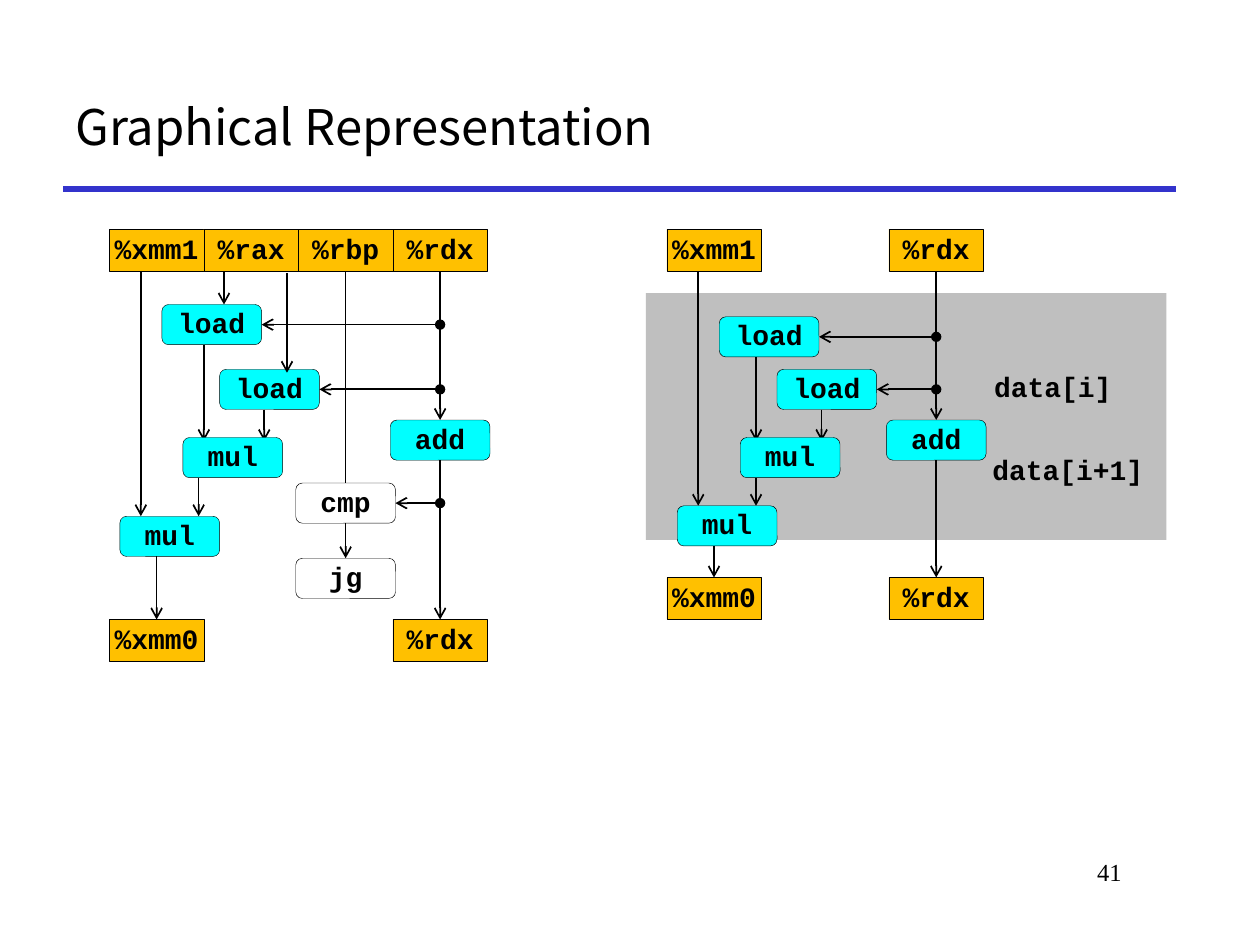
from lxml import etree
from pptx import Presentation
from pptx.dml.color import RGBColor
from pptx.enum.shapes import MSO_CONNECTOR, MSO_SHAPE
from pptx.enum.text import MSO_ANCHOR, PP_ALIGN
from pptx.oxml.ns import qn

from pptx.util import Pt

RECT, ROUNDED = MSO_SHAPE.RECTANGLE, MSO_SHAPE.ROUNDED_RECTANGLE
STRAIGHT = MSO_CONNECTOR.STRAIGHT
MIDDLE, TOP = MSO_ANCHOR.MIDDLE, MSO_ANCHOR.TOP
LEFT, CENTER, RIGHT = PP_ALIGN.LEFT, PP_ALIGN.CENTER, PP_ALIGN.RIGHT
SIDE_TOP, SIDE_BOTTOM, SIDE_RIGHT = 0, 2, 3

BLACK, WHITE, ORANGE, CYAN, GRAY, BLUE = (
    "000000", "FFFFFF", "FFC000", "00FFFF", "BFBFBF", "3333CC")
CODE, HEADING, SERIF = "Courier New", "Noto Sans CJK KR", "Times New Roman"
REG_W, REG_H = 54, 24
OP_W, OP_H = 57, 23


def color(hex_code):
    return RGBColor.from_string(hex_code)


def set_text(frame, text, font, size, bold=False, align=LEFT, anchor=TOP):
    frame.word_wrap = True
    frame.vertical_anchor = anchor
    paragraph = frame.paragraphs[0]
    paragraph.text = text
    paragraph.alignment = align
    if font == CODE:
        paragraph.line_spacing = 0.9
    paragraph.font.name = font
    paragraph.font.size = Pt(size)
    paragraph.font.bold = bold
    paragraph.font.color.rgb = color(BLACK)


def add_label(slide, text, x, y, w, h, font, size, **style):
    label = slide.shapes.add_textbox(Pt(x), Pt(y), Pt(w), Pt(h))
    set_text(label.text_frame, text, font, size, **style)


def add_block(slide, kind, x, y, w, h, fill):
    block = slide.shapes.add_shape(kind, Pt(x), Pt(y), Pt(w), Pt(h))
    block.shadow.inherit = False
    block.fill.solid()
    block.fill.fore_color.rgb = color(fill)
    block.line.fill.background()
    return block


def add_node(slide, text, kind, x, y, w, h, fill):
    node = add_block(slide, kind, x, y, w, h, fill)
    node.line.color.rgb = color(BLACK)
    node.line.width = Pt(0.25)
    frame = node.text_frame
    frame.margin_left = frame.margin_right = 0
    frame.margin_top = frame.margin_bottom = 0
    set_text(frame, text, CODE, 16, bold=True, align=CENTER, anchor=MIDDLE)
    return node


def add_register(slide, text, x, y):
    return add_node(slide, text, RECT, x, y, REG_W, REG_H, ORANGE)


def add_operation(slide, text, x, y, fill=CYAN):
    return add_node(slide, text, ROUNDED, x, y, OP_W, OP_H, fill)


def add_line(slide, x1, y1, x2, y2, head=None, tail="arrow",
             stroke=BLACK, width=1, start=None, end=None):
    """start and end are optional (shape, side) pairs to join."""
    line = slide.shapes.add_connector(STRAIGHT, Pt(x1), Pt(y1), Pt(x2), Pt(y2))
    if start:
        line.begin_connect(*start)
    if end:
        line.end_connect(*end)
    line.line.color.rgb = color(stroke)
    line.line.width = Pt(width)
    outline = line.line._get_or_add_ln()
    for tag, kind in (("a:headEnd", head), ("a:tailEnd", tail)):
        if kind:
            etree.SubElement(outline, qn(tag)).set("type", kind)
    etree.SubElement(line._element.spPr, qn("a:effectLst"))


def add_feed(slide, x, y, operation):
    """Dotted branch from the %rdx line to an operation's right side."""
    add_line(slide, x, y, x - REG_W, y, head="oval",
             end=(operation, SIDE_RIGHT))


def link_down(slide, upper, lower, tail="arrow"):
    add_line(slide, 0, 0, 0, 0, tail=tail,
             start=(upper, SIDE_BOTTOM), end=(lower, SIDE_TOP))


def product_graph(slide, x, y, rdx_x, load_y, mul_y, out_y, drop_x):
    """Data flow common to both diagrams, from %xmm1 and %rdx to the results."""
    second_load_y, inner_y = y + 80, y + 119
    load_y, mul_y, out_y = y + load_y, y + mul_y, y + out_y
    rdx_x += x
    rdx_mid = rdx_x + REG_W / 2

    # Registers and operations
    add_register(slide, "%xmm1", x, y)
    rdx_in = add_register(slide, "%rdx", rdx_x, y)
    xmm0 = add_register(slide, "%xmm0", x, out_y)
    rdx_out = add_register(slide, "%rdx", rdx_x, out_y)
    add_op = add_operation(slide, "add", rdx_x - (OP_W - REG_W) / 2, y + 109)
    first_load = add_operation(slide, "load", x + 30, load_y)
    second_load = add_operation(slide, "load", x + 63, second_load_y)
    add_operation(slide, "mul", x + 6, mul_y)

    # %rdx chain and its branches
    link_down(slide, rdx_in, add_op)
    link_down(slide, add_op, rdx_out)
    add_feed(slide, rdx_mid, load_y + OP_H / 2, first_load)
    add_feed(slide, rdx_mid, second_load_y + OP_H / 2, second_load)

    # Product chain
    for line_x, top, bottom in (
            (18, y + REG_H, mul_y),
            (drop_x, load_y + OP_H, inner_y + 2),
            (88.5, second_load_y + OP_H, inner_y + 2),
            (51, inner_y + OP_H, mul_y)):
        add_line(slide, x + line_x, top, x + line_x, bottom)
    add_line(slide, x + REG_W / 2, mul_y + OP_H, x + REG_W / 2, out_y,
             end=(xmm0, SIDE_TOP))
    add_operation(slide, "mul", x + 42, inner_y)


def full_diagram(slide, x, y):
    rdx_x = 3 * REG_W
    product_graph(slide, x, y, rdx_x, load_y=43, mul_y=164, out_y=223,
                  drop_x=54)

    # %rax supplies both loads
    add_register(slide, "%rax", x + REG_W, y)
    add_line(slide, x + 65.5, y + REG_H, x + 65.5, y + 43)
    add_line(slide, x + 101.5, y + REG_H + 1, x + 101.5, y + 82)

    # Loop test on %rbp
    test_x = x + 2 * REG_W - (OP_W - REG_W) / 2
    rbp = add_register(slide, "%rbp", x + 2 * REG_W, y)
    cmp_op = add_operation(slide, "cmp", test_x, y + 145, WHITE)
    jg_op = add_operation(slide, "jg", test_x, y + 188, WHITE)
    link_down(slide, rbp, cmp_op, tail=None)
    link_down(slide, cmp_op, jg_op)
    add_feed(slide, x + rdx_x + REG_W / 2, y + 145 + OP_H / 2, cmp_op)


def reduced_diagram(slide, x, y):
    # Loop body panel with its data labels
    add_block(slide, RECT, x - 12, y + 36.5, 297.5, 141, GRAY)
    add_label(slide, "data[i]", x + 180, y + 79, 87, 24.5, CODE, 16, bold=True)
    add_label(slide, "data[i+1]", x + 179, y + 126, 106, 24.5, CODE, 16,
              bold=True)
    product_graph(slide, x, y, rdx_x=127, load_y=50, mul_y=158, out_y=199,
                  drop_x=51)


def slide_frame(slide, x, y, w, h):
    add_label(slide, "Graphical Representation", x, y, w, h, HEADING, 28,
              anchor=MIDDLE)
    add_line(slide, x, y + h, x + w, y + h, tail=None, stroke=BLUE, width=3)
    add_label(slide, "41", x + 510, y + 450, 102, 36, SERIF, 14, align=RIGHT)


def main():
    deck = Presentation()
    deck.slide_width, deck.slide_height = Pt(720), Pt(540)
    slide = deck.slides.add_slide(deck.slide_layouts[6])
    slide_frame(slide, 36, 36, 636, 72)
    full_diagram(slide, 62.5, 131)
    reduced_diagram(slide, 381, 131)
    deck.save("out.pptx")


if __name__ == "__main__":
    main()
